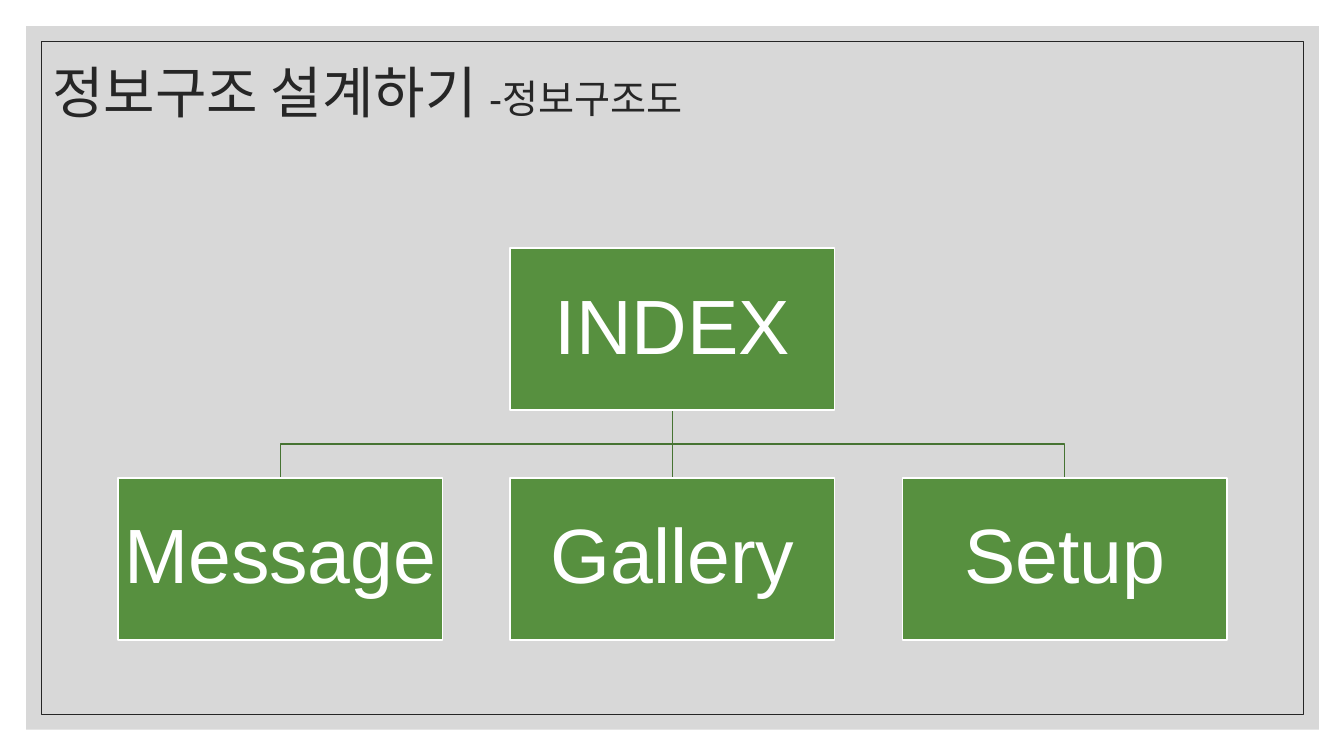
from lxml.etree import SubElement
from pptx import Presentation
from pptx.dml.color import RGBColor
from pptx.enum.shapes import MSO_CONNECTOR, MSO_SHAPE
from pptx.enum.text import MSO_ANCHOR, PP_ALIGN
from pptx.oxml.ns import qn
from pptx.util import Inches, Pt

TITLE = [("정보구조 설계하기 ", 40), ("-정보구조도", 28)]
ROOT = "INDEX"
PAGES = ["Message", "Gallery", "Setup"]
FONT = "Arial"

GREY = RGBColor(0xBF, 0xBF, 0xBF)
DARK = RGBColor(0x26, 0x26, 0x26)
GREEN = RGBColor(0x57, 0x90, 0x3F)
LINK_GREEN = RGBColor(0x46, 0x73, 0x32)
WHITE = RGBColor(0xFF, 0xFF, 0xFF)

BOX_W, BOX_H = 3.22, 1.61
LEFT, STEP = 1.17, 3.89
ROOT_TOP, PAGE_TOP = 2.46, 4.74
ROOT_BOTTOM = ROOT_TOP + BOX_H
BUS_Y = (ROOT_BOTTOM + PAGE_TOP) / 2
ROOT_LEFT = LEFT + STEP
ROOT_X = ROOT_LEFT + BOX_W / 2


def add_rect(s, x, y, w, h, fill=None, line=None, width=1):
    sp = s.shapes.add_shape(MSO_SHAPE.RECTANGLE, Inches(x), Inches(y), Inches(w), Inches(h))
    sp.shadow.inherit = False
    if fill is None:
        sp.fill.background()
    else:
        sp.fill.solid()
        sp.fill.fore_color.rgb = fill
    if line is None:
        sp.line.fill.background()
    else:
        sp.line.color.rgb = line
        sp.line.width = Pt(width)
    return sp


def format_run(r, size, color):
    r.font.size = Pt(size)
    r.font.name = FONT
    r.font.color.rgb = color


def add_page(s, text, x, y):
    tf = add_rect(s, x, y, BOX_W, BOX_H, GREEN, WHITE).text_frame
    tf.word_wrap = True
    tf.vertical_anchor = MSO_ANCHOR.MIDDLE
    tf.margin_left = tf.margin_right = tf.margin_top = tf.margin_bottom = Inches(0.04)
    tf.text = text
    p = tf.paragraphs[0]
    p.alignment = PP_ALIGN.CENTER
    p.line_spacing = 0.9
    format_run(p.runs[0], 55, WHITE)


def add_link(s, x):
    if abs(x - ROOT_X) < 0.01:
        link = s.shapes.add_connector(MSO_CONNECTOR.STRAIGHT, Inches(x), Inches(ROOT_BOTTOM),
                                      Inches(x), Inches(PAGE_TOP))
        SubElement(link._element.spPr, qn("a:effectLst"))
    else:
        points = [(ROOT_X, BUS_Y), (x, BUS_Y), (x, PAGE_TOP)]
        path = s.shapes.build_freeform(Inches(ROOT_X), Inches(ROOT_BOTTOM))
        path.add_line_segments([(Inches(px), Inches(py)) for px, py in points], close=False)
        link = path.convert_to_shape()
        link.shadow.inherit = False
        link.fill.background()
    link.line.color.rgb = LINK_GREEN
    link.line.width = Pt(1)


def add_title(s):
    tf = s.shapes.add_textbox(Inches(0.42), Inches(0.42), Inches(11), Inches(1.05)).text_frame
    tf.word_wrap = True
    tf.vertical_anchor = MSO_ANCHOR.MIDDLE
    p = tf.paragraphs[0]
    p.line_spacing = 0.9
    for text, size in TITLE:
        r = p.add_run()
        r.text = text
        format_run(r, size, DARK)


def main():
    prs = Presentation()
    prs.slide_width, prs.slide_height = Inches(13.33), Inches(7.5)
    s = prs.slides.add_slide(prs.slide_layouts[6])

    panel = add_rect(s, 0.26, 0.26, 12.82, 6.98, GREY)
    color = panel._element.spPr.find(qn("a:solidFill")).find(qn("a:srgbClr"))
    SubElement(color, qn("a:alpha")).set("val", "60000")
    add_rect(s, 0.41, 0.41, 12.52, 6.68, line=DARK, width=0.5)

    lefts = [LEFT + i * STEP for i in range(len(PAGES))]
    for x in lefts:
        add_link(s, x + BOX_W / 2)
    add_page(s, ROOT, ROOT_LEFT, ROOT_TOP)
    for text, x in zip(PAGES, lefts):
        add_page(s, text, x, PAGE_TOP)
    add_title(s)
    prs.save("out.pptx")


if __name__ == "__main__":
    main()
